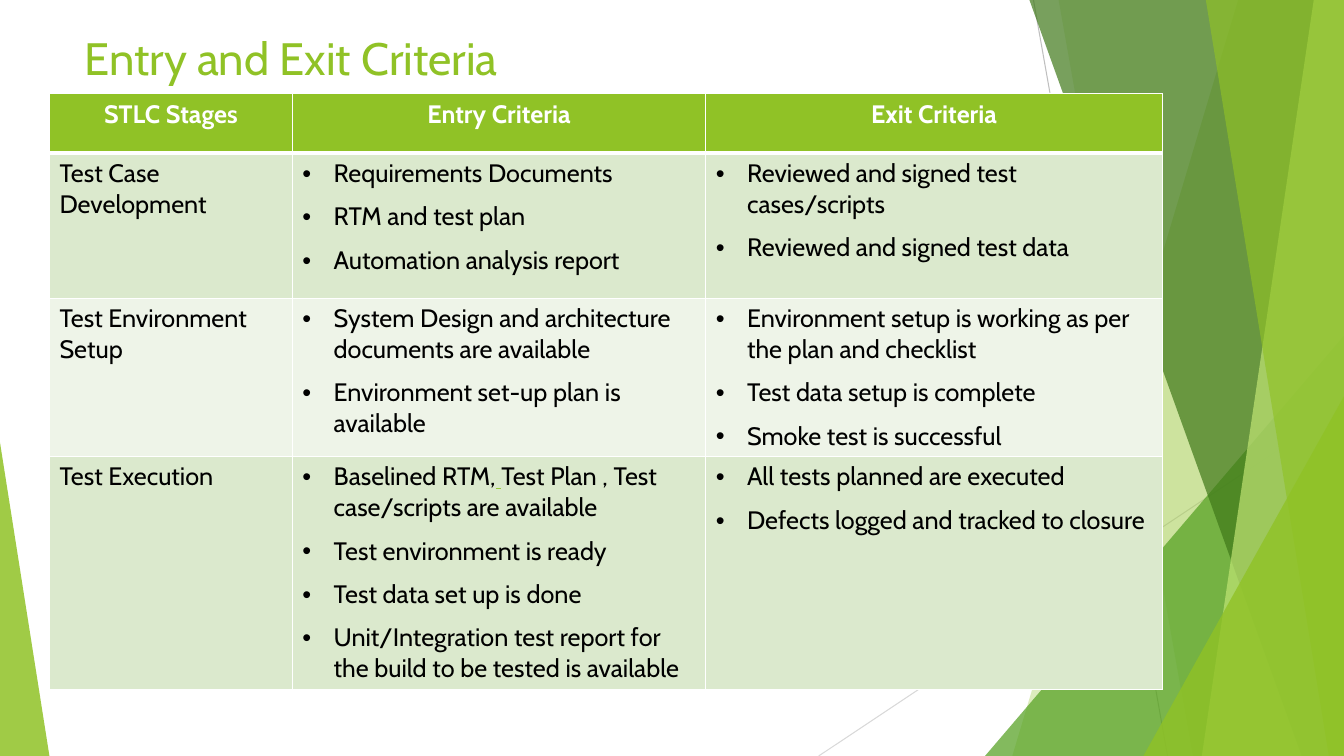
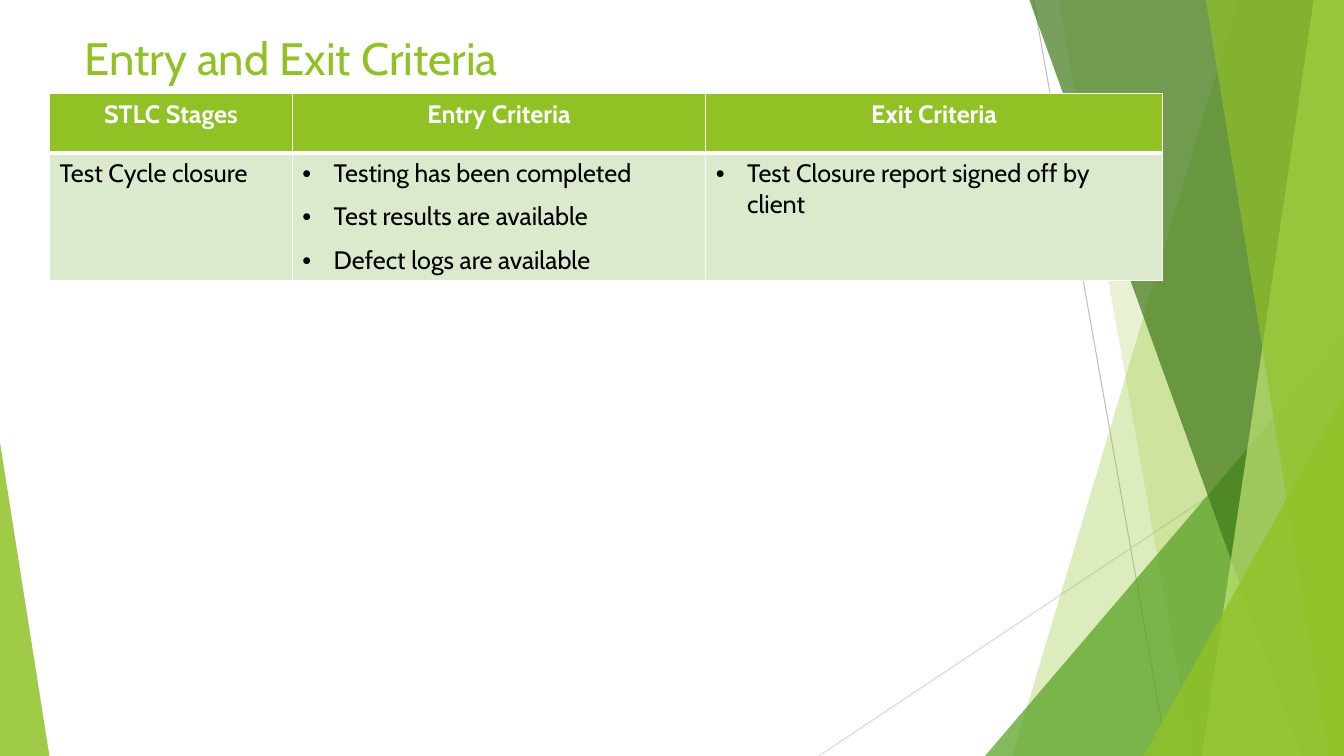
from typing import NamedTuple

from lxml import etree
from pptx import Presentation
from pptx.dml.color import RGBColor
from pptx.enum.shapes import MSO_CONNECTOR, MSO_SHAPE
from pptx.enum.text import MSO_ANCHOR, PP_ALIGN
from pptx.oxml.ns import qn
from pptx.util import Inches, Pt

STRAIGHT = MSO_CONNECTOR.STRAIGHT
TRIANGLE = MSO_SHAPE.ISOSCELES_TRIANGLE
MIDDLE = MSO_ANCHOR.MIDDLE
CENTER = PP_ALIGN.CENTER
LEFT = PP_ALIGN.LEFT

WHITE = RGBColor(0xFF, 0xFF, 0xFF)
BLACK = RGBColor(0x00, 0x00, 0x00)
LIME = RGBColor(0x90, 0xC2, 0x26)
LEAF = RGBColor(0x54, 0xA0, 0x21)
FOREST = RGBColor(0x3F, 0x78, 0x19)
PALE_LIME = RGBColor(0xC0, 0xE4, 0x74)
LINK_GREEN = RGBColor(0x99, 0xCA, 0x3C)
SILVER = RGBColor(0xBF, 0xBF, 0xBF)
MIST = RGBColor(0xD9, 0xD9, 0xD9)
BAND_DARK = RGBColor(0xDB, 0xE9, 0xCD)
BAND_LIGHT = RGBColor(0xEE, 0xF4, 0xE8)

FONT = "Cabin"
TITLE = "Entry and Exit Criteria"
HEADINGS = ("STLC Stages", "Entry Criteria", "Exit Criteria")
COLUMN_WIDTHS = (2.41, 4.1, 4.53)
HEADER_HEIGHT = 0.59
BULLET_INDENT = Inches(0.31)


class Box(NamedTuple):
    left: float
    top: float
    width: float
    height: float


class Stage(NamedTuple):
    name: str
    height: float
    entry: tuple
    exit: tuple


PAGE_BOX = Box(0, 0, 13.33, 7.5)
TITLE_BOX = Box(0.74, 0.24, 9.4, 0.66)
TABLE_BOX = Box(0.49, 0.93, 11.04, HEADER_HEIGHT)

SLIDES = (
    (
        Stage(
            "Test Case Development", 1.44,
            ("Requirements Documents", "RTM and test plan", "Automation analysis report"),
            ("Reviewed and signed test cases/scripts", "Reviewed and signed test data"),
        ),
        Stage(
            "Test Environment Setup", 1.57,
            ("System Design and architecture documents are available",
             "Environment set-up plan is available"),
            ("Environment setup is working as per the plan and checklist",
             "Test data setup is complete",
             "Smoke test is successful"),
        ),
        Stage(
            "Test Execution", 2.31,
            (("Baselined RTM,", " ", "Test Plan , Test case/scripts are available"),
             "Test environment is ready",
             "Test data set up is done",
             "Unit/Integration test report for the build to be tested is available"),
            ("All tests planned are executed", "Defects logged and tracked to closure"),
        ),
    ),
    (
        Stage(
            "Test Cycle closure", 1.26,
            ("Testing has been completed", "Test results are available",
             "Defect logs are available"),
            ("Test Closure report signed off by client",),
        ),
    ),
)


def paint(shape, color, opacity):
    shape.shadow.inherit = False
    shape.line.fill.background()
    shape.fill.solid()
    shape.fill.fore_color.rgb = color
    color_node = shape.fill._xPr.find(qn("a:solidFill"))[0]
    etree.SubElement(color_node, qn("a:alpha"), val=str(opacity * 1000))


def add_ray(slide, box, start, end, color):
    points = [Inches(origin + offset) for point in (start, end)
              for origin, offset in zip((box.left, box.top), point)]
    ray = slide.shapes.add_connector(STRAIGHT, *points)
    ray.line.color.rgb = color
    ray.line.width = Pt(0.75)
    etree.SubElement(ray._element.spPr, qn("a:effectLst"))


def add_panel(slide, box, top_x, bottom_x, color, opacity):
    right, bottom = box.left + box.width, box.top + box.height
    outline = [(box.left + top_x, box.top), (right, box.top),
               (right, bottom), (box.left + bottom_x, bottom)]
    corners = [(Inches(x), Inches(y)) for x, y in outline]
    builder = slide.shapes.build_freeform(*corners[0])
    builder.add_line_segments(corners[1:], close=True)
    paint(builder.convert_to_shape(), color, opacity)


def add_wedge(slide, box, left, width, height, apex, color, opacity):
    wedge = slide.shapes.add_shape(
        TRIANGLE, Inches(box.left + left), Inches(box.top + box.height - height),
        Inches(width), Inches(height))
    wedge.adjustments[0] = apex
    paint(wedge, color, opacity)


def add_facets(slide, box):
    add_ray(slide, box, (10.25, 0), (11.58, 7.5), SILVER)
    add_ray(slide, box, (13.33, 4.03), (8.12, 7.5), MIST)
    add_panel(slide, box, 12.28, 10.04, LIME, 30)
    add_panel(slide, box, 10.5, 11.83, LIME, 20)
    add_wedge(slide, box, 9.77, 3.56, 4.17, 1, LEAF, 72)
    add_panel(slide, box, 10.21, 12.91, FOREST, 70)
    add_panel(slide, box, 13.03, 11.92, PALE_LIME, 70)
    add_panel(slide, box, 11.96, 13.18, LIME, 65)
    add_wedge(slide, box, 11.34, 1.99, 3.57, 1, LIME, 80)
    add_wedge(slide, box, 0, 0.49, 3.11, 0, LIME, 85)


def style_font(font, size, color, bold=False):
    font.name = FONT
    font.size = Pt(size)
    font.color.rgb = color
    font.bold = bold


def add_title(slide, box):
    title = slide.shapes.add_textbox(*map(Inches, box))
    title.text_frame.word_wrap = True
    title.text_frame.vertical_anchor = MIDDLE
    para = title.text_frame.paragraphs[0]
    para.text = TITLE
    style_font(para.font, 32.4, LIME)


def add_border(cell, side, width):
    border = etree.SubElement(
        cell._tc.get_or_add_tcPr(), qn(f"a:ln{side}"), w=str(Pt(width)))
    fill = etree.SubElement(border, qn("a:solidFill"))
    etree.SubElement(fill, qn("a:srgbClr"), val=str(WHITE))


def add_bullet(para):
    properties = para._p.get_or_add_pPr()
    properties.set("marL", str(BULLET_INDENT))
    properties.set("indent", str(-BULLET_INDENT))
    para.space_before = Pt(9)
    etree.SubElement(properties, qn("a:buFont"), typeface="Arial")
    etree.SubElement(properties, qn("a:buChar"), char="•")


def fill_cell(cell, lines, fill, color, heading=False, bulleted=False, top=1, bottom=1):
    for side, width in (("L", 1), ("R", 1), ("T", top), ("B", bottom)):
        add_border(cell, side, width)
    cell.fill.solid()
    cell.fill.fore_color.rgb = fill
    frame = cell.text_frame
    for index, line in enumerate(lines):
        para = frame.add_paragraph() if index else frame.paragraphs[0]
        para.alignment = CENTER if heading else LEFT
        if bulleted:
            add_bullet(para)
        style_font(para.font, 18, color, heading)
        for text in (line,) if isinstance(line, str) else line:
            span = para.add_run()
            span.text = text
            if not text.strip():
                span.font.underline = True
                span.font.color.rgb = LINK_GREEN


def add_criteria_table(slide, box, stages):
    frame = slide.shapes.add_table(
        len(stages) + 1, len(HEADINGS), *map(Inches, box))
    table = frame.table
    table.first_row = False
    table.horz_banding = False
    for column, width in zip(table.columns, COLUMN_WIDTHS):
        column.width = Inches(width)
    heights = [HEADER_HEIGHT] + [stage.height for stage in stages]
    for row, height in zip(table.rows, heights):
        row.height = Inches(height)
    for column, heading in enumerate(HEADINGS):
        fill_cell(table.cell(0, column), (heading,), LIME, WHITE, heading=True, bottom=3)
    for row, stage in enumerate(stages, 1):
        band = BAND_DARK if row % 2 else BAND_LIGHT
        for column, lines in enumerate(((stage.name,), stage.entry, stage.exit)):
            fill_cell(table.cell(row, column), lines, band, BLACK,
                      bulleted=column > 0, top=3 if row == 1 else 1)


def add_criteria_slide(deck, stages):
    slide = deck.slides.add_slide(deck.slide_layouts[6])
    add_facets(slide, PAGE_BOX)
    add_title(slide, TITLE_BOX)
    add_criteria_table(slide, TABLE_BOX, stages)


def main():
    deck = Presentation()
    deck.slide_width = Inches(PAGE_BOX.width)
    deck.slide_height = Inches(PAGE_BOX.height)
    for stages in SLIDES:
        add_criteria_slide(deck, stages)
    deck.save("out.pptx")


if __name__ == "__main__":
    main()
